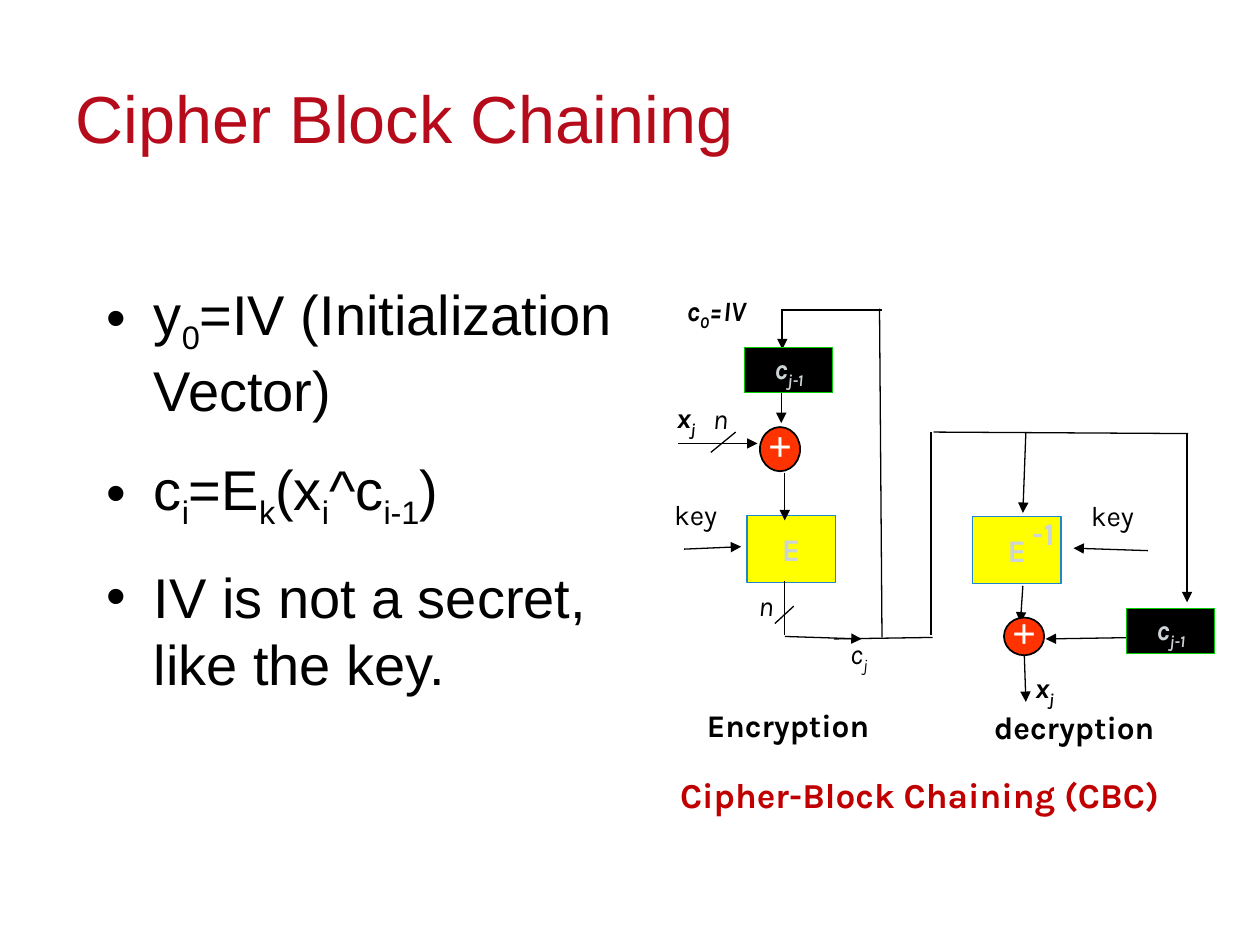
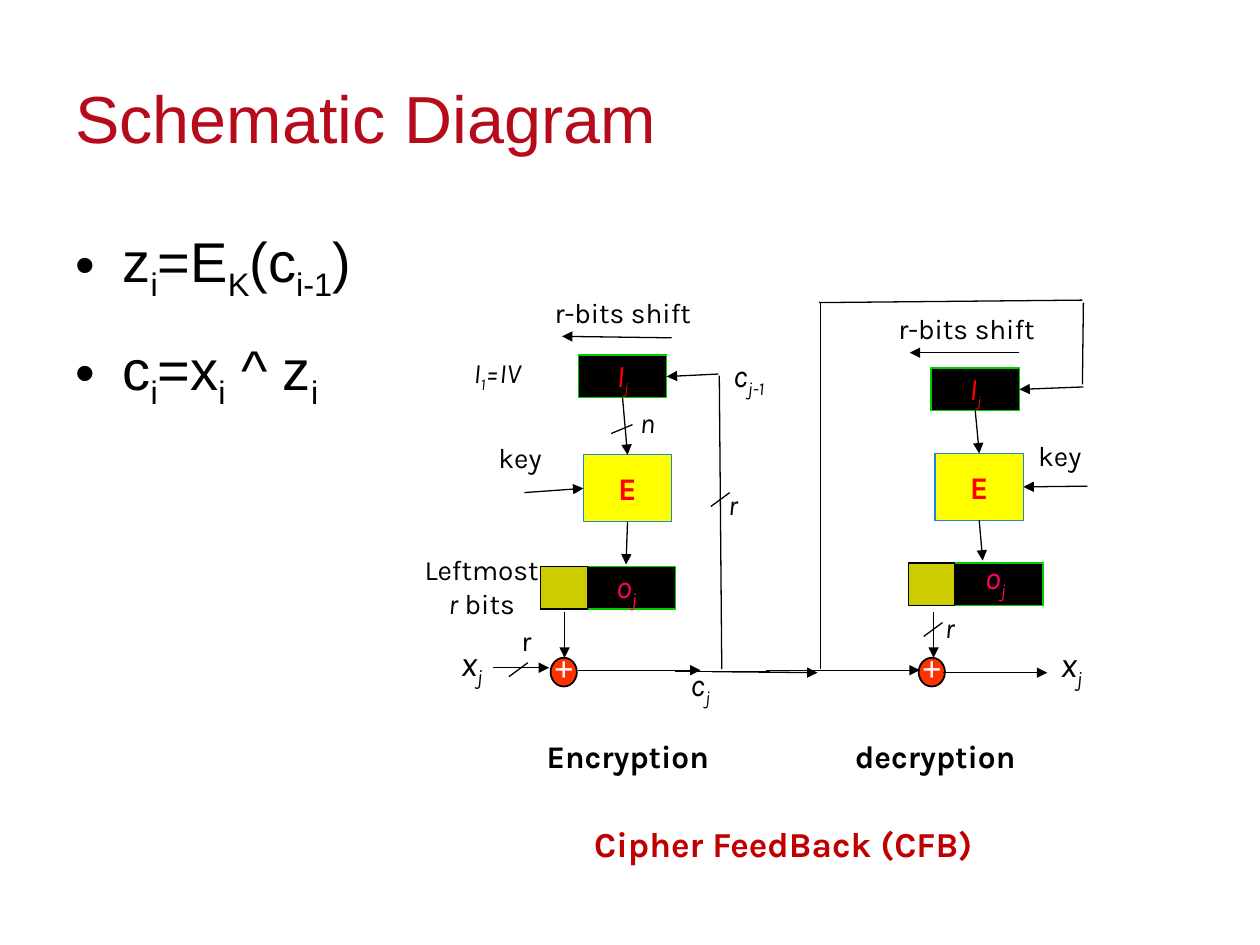
from lxml import etree
from pptx import Presentation
from pptx.dml.color import RGBColor
from pptx.enum import shapes, text
from pptx.oxml import ns
from pptx.util import Cm, Pt

BLACK = RGBColor(0x00, 0x00, 0x00)
WHITE = RGBColor(0xFF, 0xFF, 0xFF)
TITLE_RED = RGBColor(0xB5, 0x0B, 0x1B)
CAPTION_RED = RGBColor(0xC0, 0x00, 0x00)
RED = RGBColor(0xFF, 0x00, 0x00)
PINK = RGBColor(0xFF, 0x00, 0x66)
PALE_GREY = RGBColor(0xCD, 0xD4, 0xD7)
YELLOW = RGBColor(0xFF, 0xFF, 0x00)
OLIVE = RGBColor(0xCC, 0xCC, 0x00)
ORANGE = RGBColor(0xFF, 0x33, 0x00)
BLUE = RGBColor(0x1D, 0x86, 0xCD)
GREEN = RGBColor(0x00, 0xCC, 0x00)

BODY_FONT = "Arial"
DIAGRAM_FONT = "Karla"
SYMBOL_FONT = "Times New Roman"
BLOCK_WIDTH = 1.78
CIPHER_HEIGHT = 1.35
REGISTER_HEIGHT = 0.86
TOP, LEFT, BOTTOM, RIGHT = range(4)


# Text
def add_runs(paragraph, markup, size, colour=BLACK, font=DIAGRAM_FONT,
             bold=False, italic=False, subscript_size=None):
    """Write runs; every second part between bars is a subscript."""
    for index, part in enumerate(markup.split("|")):
        if not part:
            continue
        run = paragraph.add_run()
        run.text = part
        run.font.name = font
        run.font.size = Pt(size)
        run.font.color.rgb = colour
        run.font.bold = bold
        run.font.italic = italic
        if index % 2:
            run.font.size = Pt(subscript_size or size)
            run.font._element.set("baseline", "-25000")


def add_text_frame(slide, left, top, width, height, anchor=text.MSO_ANCHOR.TOP):
    box = slide.shapes.add_textbox(Cm(left), Cm(top), Cm(width), Cm(height))
    frame = box.text_frame
    frame.word_wrap = True
    frame.vertical_anchor = anchor
    return frame


def add_label(slide, markup, left, top, width, size=16, centred=False, **style):
    frame = add_text_frame(slide, left, top, width, 0.3 + 0.04 * size)
    paragraph = frame.paragraphs[0]
    if centred:
        paragraph.alignment = text.PP_ALIGN.CENTER
    add_runs(paragraph, markup, size, **style)
    return paragraph


def add_title(slide, title):
    frame = add_text_frame(slide, 1.27, 0.76, 22.86, 3.18, text.MSO_ANCHOR.MIDDLE)
    add_runs(frame.paragraphs[0], title, 38, TITLE_RED, BODY_FONT)


def add_bullets(slide, items, left, top, width, height):
    frame = add_text_frame(slide, left, top, width, height)
    for index, item in enumerate(items):
        paragraph = frame.add_paragraph() if index else frame.paragraphs[0]
        paragraph.space_before = Pt(6)
        paragraph.space_after = Pt(12)
        properties = paragraph._p.get_or_add_pPr()
        properties.set("marL", str(Cm(0.95)))
        properties.set("indent", str(-Cm(0.95)))
        etree.SubElement(properties, ns.qn("a:buFont")).set("typeface", BODY_FONT)
        etree.SubElement(properties, ns.qn("a:buChar")).set("char", "•")
        add_runs(paragraph, item, 32, font=BODY_FONT)


# Diagram parts
def add_figure(slide, kind, left, top, width, height, fill, line, line_width=0.75):
    shape = slide.shapes.add_shape(kind, Cm(left), Cm(top), Cm(width), Cm(height))
    shape.shadow.inherit = False
    shape.fill.solid()
    shape.fill.fore_color.rgb = fill
    shape.line.color.rgb = line
    shape.line.width = Pt(line_width)
    return shape


def add_block(slide, markup, left, top, height, fill, line, size, colour, **style):
    shape = add_figure(slide, shapes.MSO_SHAPE.RECTANGLE, left, top,
                       BLOCK_WIDTH, height, fill, line)
    frame = shape.text_frame
    frame.word_wrap = False
    frame.vertical_anchor = text.MSO_ANCHOR.MIDDLE
    frame.paragraphs[0].alignment = text.PP_ALIGN.CENTER
    add_runs(frame.paragraphs[0], markup, size, colour, **style)
    return shape


def add_cipher(slide, left, top, colour):
    return add_block(slide, "E", left, top, CIPHER_HEIGHT, YELLOW, BLUE, 18,
                     colour, bold=True)


def add_previous_block(slide, left, top):
    return add_block(slide, "c|j-1", left, top, 0.91, BLACK, GREEN, 16,
                     PALE_GREY, bold=True, italic=True)


def add_input_register(slide, left, top):
    return add_block(slide, "I|j", left, top, REGISTER_HEIGHT, BLACK, GREEN, 18,
                     RED, italic=True, subscript_size=14)


def add_output_register(slide, left, top):
    """Draw the whole output with its leftmost r bits marked."""
    for width, fill, line in ((2.72, BLACK, GREEN), (0.94, OLIVE, BLACK)):
        add_figure(slide, shapes.MSO_SHAPE.RECTANGLE, left, top, width,
                   REGISTER_HEIGHT, fill, line)


def add_xor(slide, left, top, width, height, size):
    add_figure(slide, shapes.MSO_SHAPE.OVAL, left, top, width, height,
               ORANGE, BLACK, 1)
    box_width, box_height = 1, 0.3 + 0.04 * size
    add_label(slide, "+", left + (width - box_width) / 2,
              top + (height - box_height) / 2 - 0.1, box_width, size,
              centred=True, colour=WHITE, font=SYMBOL_FONT, bold=True)


def add_line(slide, x1, y1, x2, y2, arrow=False, start=None, end=None):
    """Draw a line; start and end are optional (shape, side) joints."""
    connector = slide.shapes.add_connector(
        shapes.MSO_CONNECTOR.STRAIGHT, Cm(x1), Cm(y1), Cm(x2), Cm(y2))
    connector.line.color.rgb = BLACK
    connector.line.width = Pt(0.75)
    if start:
        connector.begin_connect(*start)
    if end:
        connector.end_connect(*end)
    if arrow:
        outline = connector.line._get_or_add_ln()
        etree.SubElement(outline, ns.qn("a:tailEnd")).set("type", "triangle")
    etree.SubElement(connector._element.spPr, ns.qn("a:effectLst"))


def add_lines(slide, lines, arrow=False):
    for points in lines:
        add_line(slide, *points, arrow=arrow)


def add_captions(slide, encryption, decryption, mode, mode_position):
    add_label(slide, "Encryption", *encryption, 4.27, 18, bold=True)
    add_label(slide, "decryption", *decryption, 4.85, 18, bold=True)
    add_label(slide, mode, *mode_position, 11.25, 20, colour=CAPTION_RED, bold=True)


# Slides
def build_block_chaining(slide):
    add_title(slide, "Cipher Block Chaining")
    add_bullets(slide, ["y|0|=IV (Initialization Vector)",
                        "c|i|=E|k|(x|i|^c|i-1|)",
                        "IV is not a secret, like the key."],
                1.9, 5.51, 10.8, 11.43)

    add_cipher(slide, 15.06, 10.39, PALE_GREY)
    add_cipher(slide, 19.61, 10.41, PALE_GREY)

    # Data flow
    add_lines(slide, [
        (13.79, 11.07, 14.94, 11.02), (13.67, 8.94, 15.27, 8.94),
        (15.82, 12.83, 17.37, 12.88), (20.68, 8.71, 20.62, 10.34),
        (20.62, 11.81, 20.57, 12.55), (15.75, 6.25, 15.75, 8.53),
        (15.82, 9.53, 15.82, 10.49), (23.14, 11.1, 21.64, 11.05),
        (22.99, 12.85, 21.08, 12.88), (23.93, 8.74, 23.93, 12.14),
        (20.65, 13.21, 20.68, 14.15), (15.77, 6.27, 15.77, 7.04),
    ], arrow=True)
    # Feedback paths and bit-width ticks
    add_lines(slide, [
        (15.82, 11.71, 15.82, 12.8), (18.77, 12.8, 18.77, 8.71),
        (18.82, 8.71, 23.95, 8.74), (16.81, 12.88, 18.8, 12.85),
        (17.78, 12.85, 17.73, 6.22), (15.75, 6.25, 17.78, 6.25),
        (14.83, 8.71, 14.33, 9.12), (16, 12.22, 15.62, 12.57),
    ])

    add_xor(slide, 15.32, 8.61, 0.81, 0.89, 24)
    add_xor(slide, 20.24, 12.45, 0.81, 0.76, 24)
    add_previous_block(slide, 15.01, 7.01)
    add_previous_block(slide, 22.71, 12.27)

    # Labels
    for left, top in ((13.34, 9.91), (21.74, 9.93)):
        add_label(slide, "key", left, top, 1.9)
    for left, top in ((14.12, 7.98), (15.04, 11.73)):
        add_label(slide, "n", left, top, 1, italic=True)
    for left, top in ((13.39, 7.95), (20.62, 13.39)):
        add_label(slide, "x|j", left, top, 1.1, bold=True, italic=True)
    add_label(slide, "c|j", 16.89, 12.7, 1.1, italic=True)
    add_label(slide, "c|0|=IV", 13.59, 5.79, 2.44, bold=True, italic=True)
    add_label(slide, "-1", 20.55, 10.24, 1.27, 18, colour=PALE_GREY, bold=True)
    add_captions(slide, (14, 14.1), (19.79, 14.15),
                 "Cipher-Block Chaining (CBC)", (13.46, 15.47))


def build_feedback(slide):
    add_title(slide, "Schematic Diagram")
    add_bullets(slide, ["z|i|=E|K|(c|i-1|)", "c|i|=x|i| ^ z|i|"],
                1.27, 4.45, 22.86, 12.57)

    # Encryption and decryption blocks
    encrypt = add_cipher(slide, 11.76, 9.17, RED)
    decrypt = add_cipher(slide, 18.85, 9.14, RED)
    encrypt_input = add_input_register(slide, 11.66, 7.16)
    decrypt_input = add_input_register(slide, 18.77, 7.42)
    add_output_register(slide, 10.9, 11.42)
    add_output_register(slide, 18.31, 11.35)
    for left in (11.1, 18.52):
        add_xor(slide, left, 13.26, 0.53, 0.58, 20)

    # Arrows joined to blocks
    add_line(slide, 10.57, 9.93, 11.76, 9.85, True, end=(encrypt, LEFT))
    add_line(slide, 12.55, 8.02, 12.65, 9.17, True,
             (encrypt_input, BOTTOM), (encrypt, TOP))
    add_line(slide, 14.48, 7.54, 13.44, 7.59, True, end=(encrypt_input, RIGHT))
    add_line(slide, 12.65, 10.52, 12.62, 11.38, True, start=(encrypt, BOTTOM))
    add_line(slide, 19.74, 10.49, 19.81, 11.3, True, start=(decrypt, BOTTOM))
    add_line(slide, 19.66, 8.28, 19.74, 9.14, True,
             (decrypt_input, BOTTOM), (decrypt, TOP))
    add_line(slide, 21.84, 7.8, 20.55, 7.85, True, end=(decrypt_input, RIGHT))
    add_line(slide, 21.92, 9.8, 20.63, 9.82, True, end=(decrypt, RIGHT))

    # Free arrows
    add_lines(slide, [
        (15.44, 13.51, 18.54, 13.51), (11.66, 13.51, 14.12, 13.51),
        (11.38, 12.34, 11.38, 13.26), (9.93, 13.46, 11.07, 13.46),
        (13.54, 6.81, 11.33, 6.78), (18.82, 12.34, 18.82, 13.26),
        (20.55, 7.11, 18.34, 7.11), (19, 13.56, 21.11, 13.56),
        (14.35, 13.54, 16.48, 13.56),
    ], arrow=True)
    # Feedback paths and bit-width ticks
    add_lines(slide, [
        (16.54, 13.49, 16.54, 6.1), (13.61, 13.54, 15.52, 13.54),
        (14.55, 13.49, 14.5, 7.57), (16.51, 6.1, 21.82, 6.05),
        (21.82, 7.75, 21.84, 6.1), (10.26, 13.64, 10.64, 13.36),
        (12.75, 8.56, 12.32, 8.74), (14.33, 10.21, 14.71, 9.93),
        (18.62, 12.83, 19, 12.55),
    ])

    # Labels
    for left, top in ((9.8, 8.76), (20.68, 8.71)):
        add_label(slide, "key", left, top, 1.9)
    for left, top in ((10.8, 5.84), (17.73, 6.15)):
        add_label(slide, "r-bits shift", left, top, 3.51, centred=True)
    for left, top in ((9.04, 12.8), (21.13, 12.83)):
        add_label(slide, "x|j", left, top, 1.14, 20, italic=True)
    for left, top in ((12.17, 11.3), (19.61, 11.13)):
        add_label(slide, "o|j", left, top, 1, 18, colour=PINK, italic=True)
    for left, top in ((14.43, 9.7), (18.8, 12.19)):
        add_label(slide, "r", left, top, 1, italic=True)
    add_label(slide, "r", 10.26, 12.45, 1)
    add_label(slide, "n", 12.65, 8.05, 1, italic=True)
    add_label(slide, "c|j", 13.67, 13.28, 1.1, 18, italic=True)
    add_label(slide, "c|j-1", 14.53, 7.06, 1.63, 18, italic=True)
    add_label(slide, "I|1|=IV", 9.3, 7.04, 2.44, italic=True)
    leftmost = add_label(slide, "Leftmost ", 8.26, 11.02, 2.9, centred=True)
    add_runs(leftmost, "r", 16, italic=True)
    add_runs(leftmost, " bits", 16)
    add_captions(slide, (10.77, 14.73), (16.99, 14.73),
                 "Cipher FeedBack (CFB)", (11.73, 16.46))


def main():
    presentation = Presentation()
    presentation.slide_width = Cm(25.4)
    presentation.slide_height = Cm(19.05)
    blank = presentation.slide_layouts[6]
    for build in (build_block_chaining, build_feedback):
        build(presentation.slides.add_slide(blank))
    presentation.save("out.pptx")


if __name__ == "__main__":
    main()
